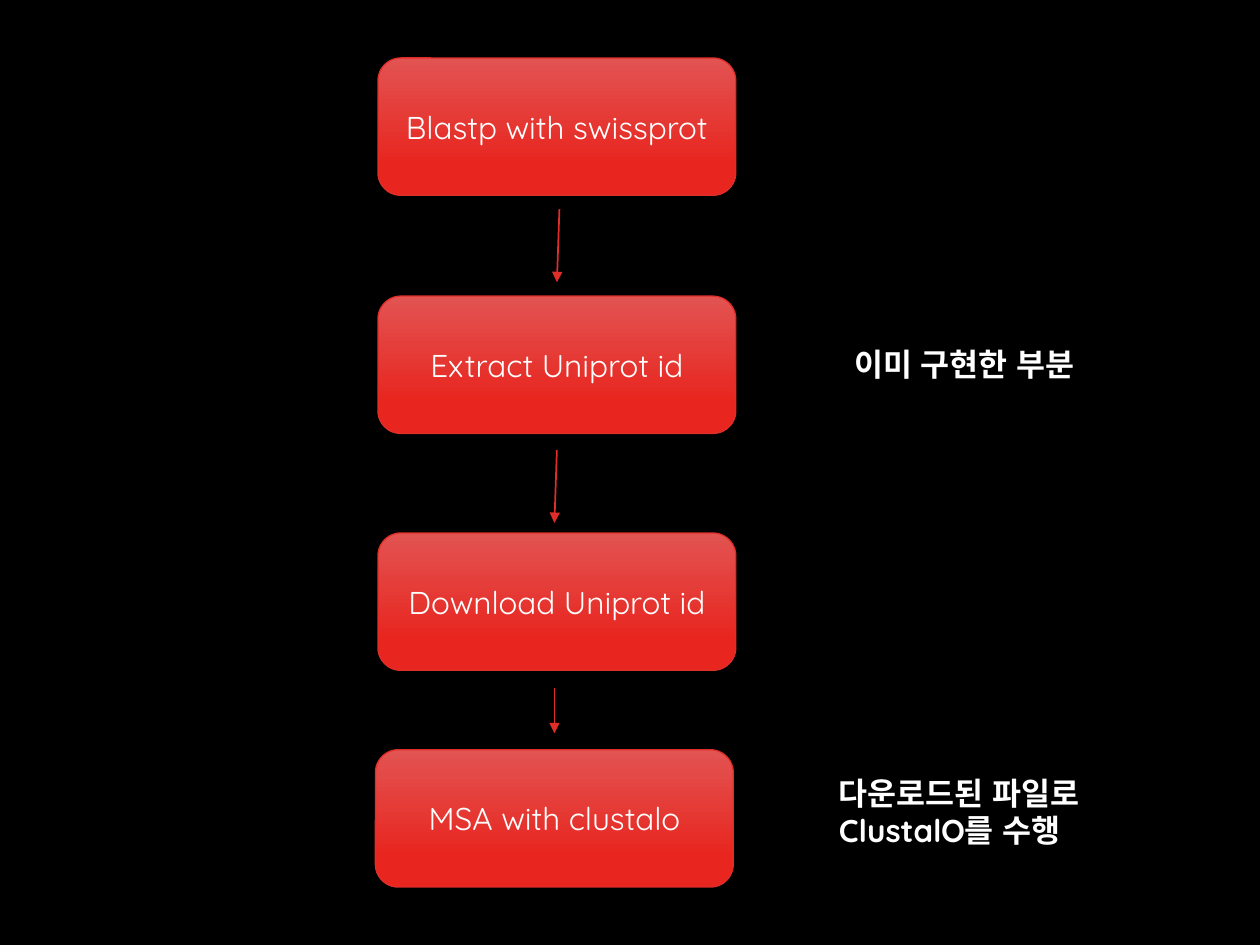
from lxml.etree import SubElement
from pptx import Presentation
from pptx.dml.color import RGBColor
from pptx.enum.shapes import MSO_CONNECTOR as Connector, MSO_SHAPE as Shape
from pptx.enum.text import MSO_ANCHOR as Anchor, MSO_AUTO_SIZE as AutoSize, PP_ALIGN as Align
from pptx.oxml.ns import qn
from pptx.util import Inches, Pt

STEPS = [
    ("Blastp with swissprot", 3, 0.46),
    ("Extract Uniprot id", 3, 2.35),
    ("Download Uniprot id", 3, 4.23),
    ("MSA with clustalo", 2.98, 5.95),
]
STEP_SIZE = (2.84, 1.09)
ARROWS = [
    ((4.44, 1.66), (4.42, 2.24)),
    ((4.42, 3.57), (4.4, 4.15)),
    ((4.4, 5.46), (4.4, 5.82)),
]
NOTES = [
    (["이미 구현한 부분"], (6.68, 2.69, 2.18, 0.4)),
    (["다운로드된 파일로", "ClustalO를 수행"], (6.56, 6.09, 2.29, 0.71)),
]
THEME = {
    "background": RGBColor.from_string("000000"),
    "text": RGBColor.from_string("FFFFFF"),
    "line": RGBColor.from_string("DF2E28"),
    "gradient": [(0, RGBColor.from_string("E25452")), (0.78, RGBColor.from_string("E8251F"))],
    "font": "Quicksand",
    "size": Pt(18),
    "border": Pt(0.75),
    "arrow": Pt(1),
}


def write_text(frame, lines, align=Align.LEFT, anchor=Anchor.TOP, bold=False, wrap=True):
    """Write one paragraph per line with a shared format."""
    frame.word_wrap = wrap
    frame.vertical_anchor = anchor
    for index, line in enumerate(lines):
        paragraph = frame.add_paragraph() if index else frame.paragraphs[0]
        paragraph.alignment = align
        run = paragraph.add_run()
        run.text = line
        font = run.font
        font.size, font.bold, font.name = THEME["size"], bold, THEME["font"]
        font.color.rgb = THEME["text"]
        SubElement(run._r.get_or_add_rPr(), qn("a:ea"), typeface=THEME["font"])


def add_step(slide, label, left, top):
    """Add a rounded box with a vertical gradient."""
    shape = slide.shapes.add_shape(
        Shape.ROUNDED_RECTANGLE, *map(Inches, (left, top, *STEP_SIZE)))
    shape.shadow.inherit = False
    shape.fill.gradient()
    shape.fill.gradient_angle = 270
    for stop, (position, color) in zip(shape.fill.gradient_stops, THEME["gradient"]):
        stop.position = position
        stop.color.rgb = color
    shape.line.color.rgb = THEME["line"]
    shape.line.width = THEME["border"]
    write_text(shape.text_frame, [label], align=Align.CENTER, anchor=Anchor.MIDDLE)


def add_arrow(slide, start, end):
    """Add a straight line with a triangle at its end."""
    arrow = slide.shapes.add_connector(Connector.STRAIGHT, *map(Inches, start + end))
    arrow.line.color.rgb = THEME["line"]
    arrow.line.width = THEME["arrow"]
    SubElement(arrow.line._get_or_add_ln(), qn("a:tailEnd"), type="triangle")
    SubElement(arrow._element.spPr, qn("a:effectLst"))


def add_note(slide, lines, bounds):
    """Add a bold side note."""
    frame = slide.shapes.add_textbox(*map(Inches, bounds)).text_frame
    write_text(frame, lines, bold=True, wrap=False)
    frame.auto_size = AutoSize.SHAPE_TO_FIT_TEXT


def main():
    """Build the workflow slide."""
    presentation = Presentation()
    presentation.slide_width, presentation.slide_height = Inches(10), Inches(7.5)
    slide = presentation.slides.add_slide(presentation.slide_layouts[6])
    slide.background.fill.solid()
    slide.background.fill.fore_color.rgb = THEME["background"]
    for step in STEPS:
        add_step(slide, *step)
    for arrow in ARROWS:
        add_arrow(slide, *arrow)
    for note in NOTES:
        add_note(slide, *note)
    presentation.save("out.pptx")


if __name__ == "__main__":
    main()
